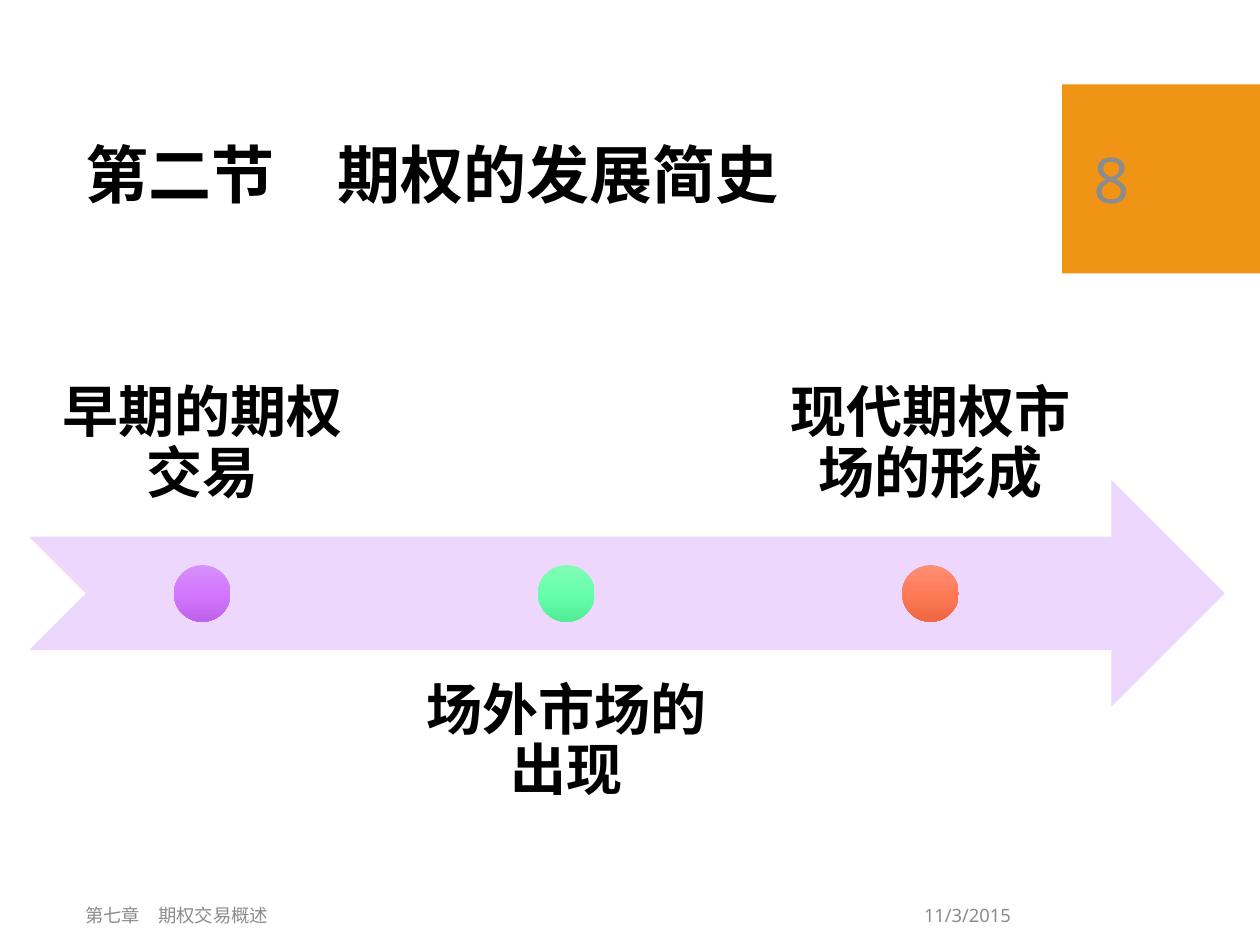
from copy import deepcopy

from pptx import Presentation
from pptx.dml.color import RGBColor
from pptx.enum.shapes import MSO_SHAPE
from pptx.enum.text import MSO_ANCHOR, PP_ALIGN
from pptx.util import Inches, Pt

RECT, OVAL = MSO_SHAPE.RECTANGLE, MSO_SHAPE.OVAL
ARROW = MSO_SHAPE.NOTCHED_RIGHT_ARROW
TOP, MIDDLE, BOTTOM = MSO_ANCHOR.TOP, MSO_ANCHOR.MIDDLE, MSO_ANCHOR.BOTTOM
LEFT, CENTER, RIGHT = PP_ALIGN.LEFT, PP_ALIGN.CENTER, PP_ALIGN.RIGHT

FONT = "Noto Sans"
COLORS = {"accent": "F09415", "arrow": "EED7FD", "ink": "000000", "muted": "8C8C8C"}

TITLE = "第二节　期权的发展简史"
CHAPTER = "第七章　期权交易概述"
DATE = "11/3/2015"
PAGE = "8"
# Stage label and the gradient of its dot, from top to bottom
STAGES = [
    ("早期的期权交易", ("D790FB", "D377FF", "BE62EA")),
    ("场外市场的出现", ("82FCB6", "67FFAB", "52EC97")),
    ("现代期权市场的形成", ("FD8F75", "FF7B57", "EE6742")),
]

ARROW_LEFT, ARROW_TOP, ARROW_WIDTH, BAND = 0.23, 3.81, 9.49, 1.8
LABEL_WIDTH, STAGE_STEP = 2.75, 2.89
LABEL_TOPS = (2.46, 5.16)
DOT = 0.45


def add_shape(slide, kind, box):
    """Add a preset shape without line or shadow."""
    shape = slide.shapes.add_shape(kind, *map(Inches, box))
    shape.shadow.inherit = False
    shape.line.fill.background()
    return shape


def add_solid(slide, kind, box, color):
    """Add a preset shape in one colour."""
    fill = add_shape(slide, kind, box).fill
    fill.solid()
    fill.fore_color.rgb = RGBColor.from_string(COLORS[color])


def add_dot(slide, box, colors):
    """Add a circle with an evenly spaced vertical gradient."""
    fill = add_shape(slide, OVAL, box).fill
    fill.gradient()
    fill.gradient_angle = 270
    stop_list = fill._fill._gradFill.gsLst
    stop_list.insert(1, deepcopy(stop_list[0]))
    for i, (stop, color) in enumerate(zip(fill.gradient_stops, colors)):
        stop.color.rgb = RGBColor.from_string(color)
        stop.position = i / (len(colors) - 1)


def add_text(slide, box, text, size, color="muted", bold=False,
             align=LEFT, anchor=MIDDLE, inset=None, spacing=None):
    """Add a wrapped one-paragraph text box."""
    frame = slide.shapes.add_textbox(*map(Inches, box)).text_frame
    frame.word_wrap = True
    frame.vertical_anchor = anchor
    if inset is not None:
        frame.margin_left = frame.margin_right = Inches(inset)
        frame.margin_top = frame.margin_bottom = Inches(inset)
    paragraph = frame.paragraphs[0]
    paragraph.text = text
    paragraph.alignment = align
    paragraph.line_spacing = spacing
    font = paragraph.font
    font.name, font.size, font.bold = FONT, Pt(size), bold
    font.color.rgb = RGBColor.from_string(COLORS[color])


def add_timeline(slide):
    """Draw the arrow with its stages, labels alternating above and below."""
    add_solid(slide, ARROW, (ARROW_LEFT, ARROW_TOP, ARROW_WIDTH, BAND), "arrow")
    dot_top = ARROW_TOP + (BAND - DOT) / 2
    for i, (label, gradient) in enumerate(STAGES):
        left = ARROW_LEFT + i * STAGE_STEP
        below = i % 2
        add_text(slide, (left, LABEL_TOPS[below], LABEL_WIDTH, BAND), label, 32,
                 "ink", True, CENTER, TOP if below else BOTTOM, 0.25, 0.9)
        add_dot(slide, (left + (LABEL_WIDTH - DOT) / 2, dot_top, DOT, DOT), gradient)


prs = Presentation()
prs.slide_width, prs.slide_height = Inches(10), Inches(7.5)
slide = prs.slides.add_slide(prs.slide_layouts[6])

add_solid(slide, RECT, (8.43, 0.67, 1.57, 1.5), "accent")
add_text(slide, (0.58, 0.82, 7.54, 1.18), TITLE, 36, "ink", True, spacing=0.9)
add_timeline(slide)
add_text(slide, (5.87, 7.06, 2.25, 0.4), DATE, 10.5, align=RIGHT)
add_text(slide, (0.58, 7.06, 5.29, 0.4), CHAPTER, 10.5)
add_text(slide, (8.58, 0.82, 1.27, 1.19), PAGE, 36)

prs.save("out.pptx")
